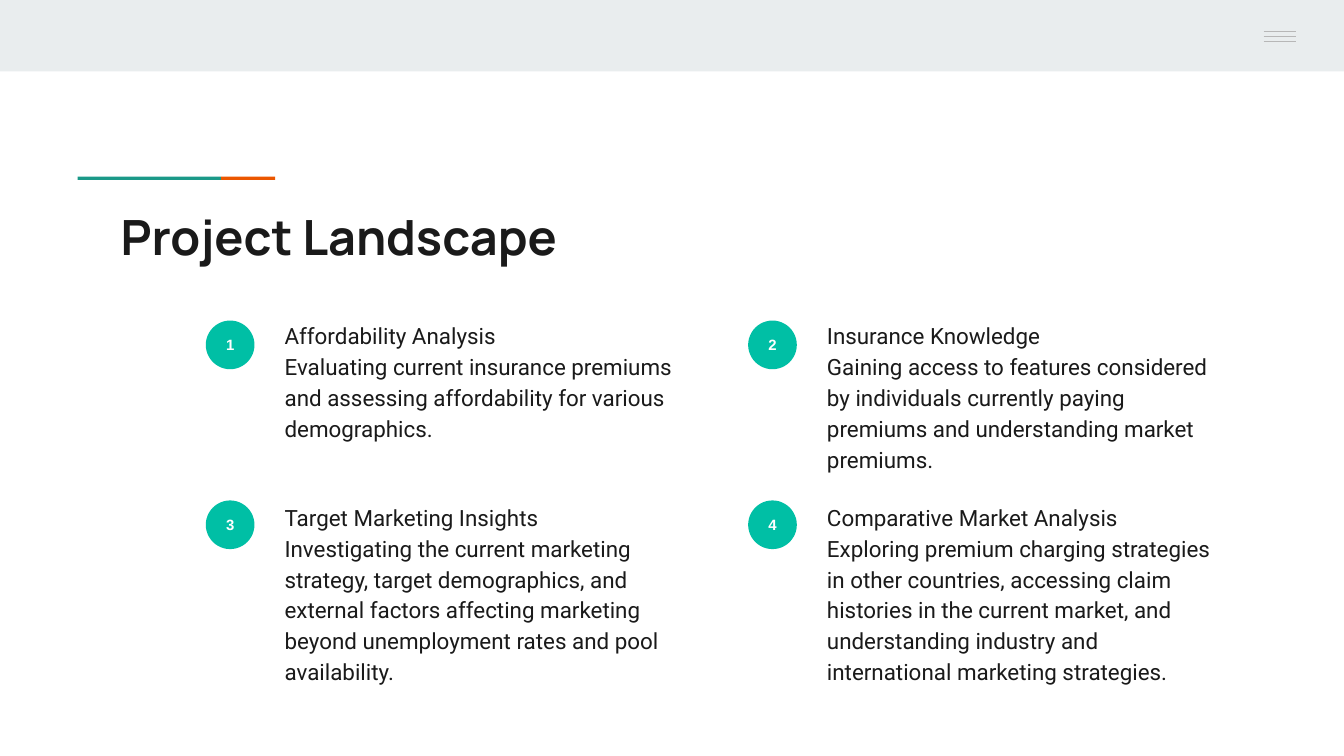
from copy import deepcopy

from pptx import Presentation
from pptx import util as u
from pptx.dml.color import RGBColor
from pptx.enum import shapes, text
from pptx.oxml.ns import qn
from pptx.oxml.xmlchemy import OxmlElement

TEAL, ORANGE, DARK = "1A9988", "EB5600", "1A1A1A"
BADGE, WHITE, BAND, MENU = "00BFA5", "FFFFFF", "E9EDEE", "B7B7B7"

TOPICS = [
    ("Affordability Analysis",
     "Evaluating current insurance premiums and assessing affordability "
     "for various demographics."),
    ("Insurance Knowledge",
     "Gaining access to features considered by individuals currently paying "
     "premiums and understanding market premiums."),
    ("Target Marketing Insights",
     "Investigating the current marketing strategy, target demographics, and "
     "external factors affecting marketing beyond unemployment rates and pool "
     "availability."),
    ("Comparative Market Analysis",
     "Exploring premium charging strategies in other countries, accessing claim "
     "histories in the current market, and understanding industry and "
     "international marketing strategies."),
]


def color(value):
    return RGBColor.from_string(value)


def write(shape, content, font="Roboto", size=12, fill=DARK, bold=False,
          align=text.PP_ALIGN.LEFT, anchor=text.MSO_ANCHOR.TOP, spacing=1.0):
    """Put one formatted paragraph in a shape; a newline is a line break."""
    frame = shape.text_frame
    frame.word_wrap = True
    frame.vertical_anchor = anchor
    frame.margin_left = frame.margin_right = u.Cm(0.25)
    frame.margin_top = frame.margin_bottom = u.Cm(0.25)
    paragraph = frame.paragraphs[0]
    paragraph.text = content
    paragraph.alignment = align
    paragraph.line_spacing = spacing
    for run in paragraph.runs:
        run.font.name = font
        run.font.size = u.Pt(size)
        run.font.bold = bold
        run.font.color.rgb = color(fill)
    # Line breaks take the format of the text around them
    for line_break in paragraph._p.findall(qn("a:br")):
        line_break.append(deepcopy(paragraph.runs[0]._r.rPr))


def add_block(slide, kind, left, top, width, height, fill):
    shape = slide.shapes.add_shape(
        kind, u.Cm(left), u.Cm(top), u.Cm(width), u.Cm(height))
    shape.shadow.inherit = False
    shape.fill.solid()
    shape.fill.fore_color.rgb = color(fill)
    shape.line.fill.background()
    return shape


def add_text(slide, left, top, width, height, content, **style):
    box = slide.shapes.add_textbox(
        u.Cm(left), u.Cm(top), u.Cm(width), u.Cm(height))
    write(box, content, **style)


def add_rule(slide, left, right, y):
    line = slide.shapes.add_connector(
        shapes.MSO_CONNECTOR.STRAIGHT,
        u.Cm(left), u.Cm(y), u.Cm(right), u.Cm(y))
    line.line.color.rgb = color(MENU)
    line.line.width = u.Pt(0.75)
    line._element.spPr.append(OxmlElement("a:effectLst"))


def add_topic(slide, index, heading, body):
    row, column = divmod(index, 2)
    shift = 10.25 * column
    badge = add_block(slide, shapes.MSO_SHAPE.OVAL,
                      3.89 + shift, 6.06 + 3.4 * row, 0.92, 0.92, BADGE)
    write(badge, str(index + 1), font="Arial", size=8, fill=WHITE, bold=True,
          align=text.PP_ALIGN.CENTER, anchor=text.MSO_ANCHOR.MIDDLE)
    add_text(slide, 5.13 + shift, 5.77 + 3.43 * row, 7.87, 2.92,
             f"{heading}\n{body}", spacing=1.15)


def main():
    presentation = Presentation()
    presentation.slide_width = u.Cm(25.4)
    presentation.slide_height = u.Cm(14.29)
    slide = presentation.slides.add_slide(presentation.slide_layouts[6])
    rectangle = shapes.MSO_SHAPE.RECTANGLE

    # Top band with menu lines
    add_block(slide, rectangle, 0, 0, 25.4, 1.35, BAND)
    for step in range(3):
        add_rule(slide, 23.88, 24.49, 0.6 + 0.09 * step)

    # Two-colour accent above the title
    add_block(slide, rectangle, 1.47, 3.34, 2.71, 0.06, TEAL)
    add_block(slide, rectangle, 4.18, 3.34, 1.02, 0.06, ORANGE)
    add_text(slide, 2.03, 3.66, 21.36, 1.5, "Project Landscape",
             font="Manrope", size=26, bold=True)

    # Numbered topics in two columns
    for index, (heading, body) in enumerate(TOPICS):
        add_topic(slide, index, heading, body)

    presentation.save("out.pptx")


if __name__ == "__main__":
    main()
